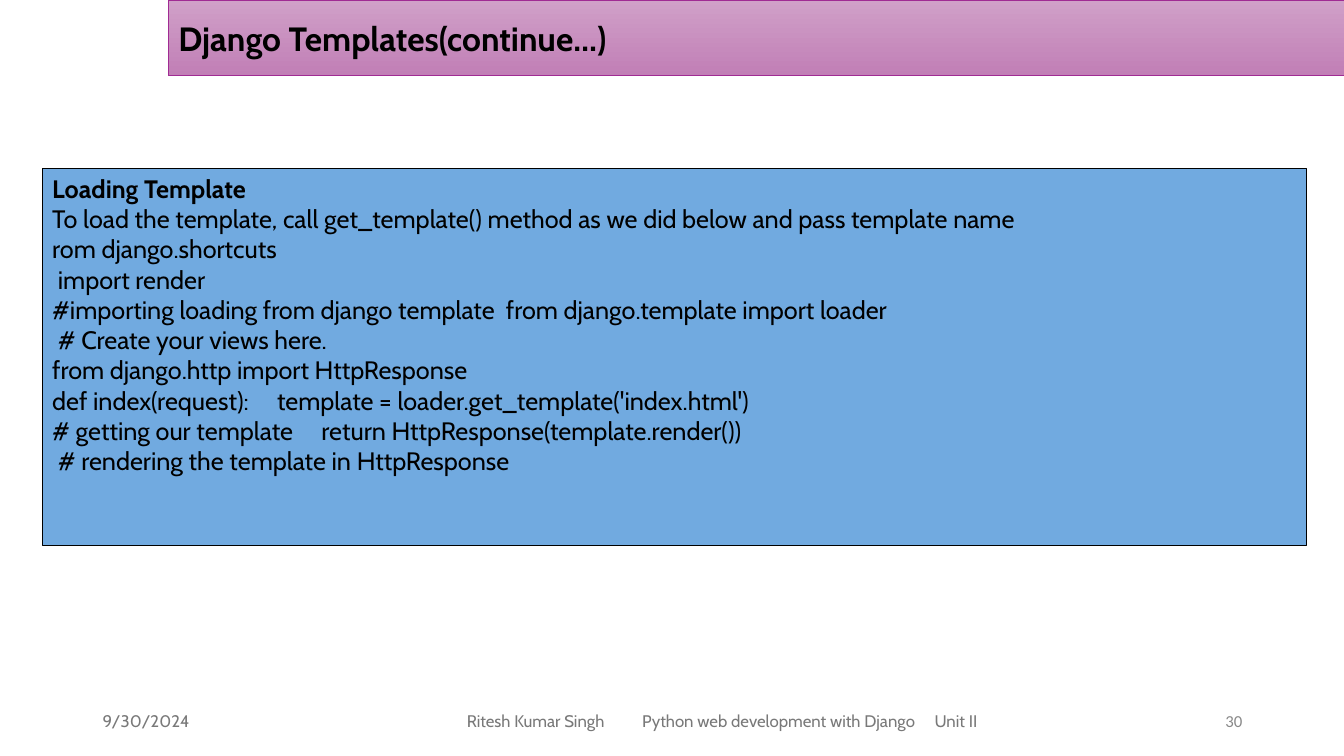
from dataclasses import dataclass

from lxml.etree import SubElement
from pptx import Presentation
from pptx.dml.color import RGBColor
from pptx.enum.shapes import MSO_SHAPE
from pptx.enum.text import MSO_ANCHOR, PP_ALIGN
from pptx.oxml.ns import qn
from pptx.util import Inches, Pt


@dataclass(frozen=True)
class Theme:
    font: str = "Cabin"
    number_font: str = "Calibri"
    ink: str = "000000"
    footer: str = "797979"
    number: str = "898989"
    banner_top: str = "D0A0C8"
    banner_bottom: str = "C17FB6"
    banner_line: str = "A02B93"
    panel: str = "71AAE0"
    title_size: int = 24
    body_size: int = 18
    footer_size: int = 12


class SlideBuilder:
    def __init__(self, s, theme):
        self.s = s
        self.theme = theme

    def set_lines(self, shape, lines, size, color, font=None, bold_first=False,
                  align=PP_ALIGN.LEFT, anchor=MSO_ANCHOR.MIDDLE, inset=0.1):
        tf = shape.text_frame
        frame_format = {"word_wrap": True, "vertical_anchor": anchor,
                        "margin_left": Inches(inset)}
        for name, value in frame_format.items():
            setattr(tf, name, value)
        for i, (text, tabs) in enumerate(lines):
            p = tf.add_paragraph() if i else tf.paragraphs[0]
            p.alignment = align
            if tabs:
                tab_list = SubElement(p._p.get_or_add_pPr(), qn("a:tabLst"))
                for pos in tabs:
                    SubElement(tab_list, qn("a:tab"), pos=str(Inches(pos)), algn="l")
            r = p.add_run()
            r.text = text
            run_format = {"name": font or self.theme.font, "size": Pt(size),
                          "bold": bold_first and i == 0}
            for name, value in run_format.items():
                setattr(r.font, name, value)
            r.font.color.rgb = RGBColor.from_string(color)

    def text(self, box, lines, color, **style):
        tb = self.s.shapes.add_textbox(*map(Inches, box))
        self.set_lines(tb, lines, self.theme.footer_size, color, **style)

    def panel(self, box, fills, line, width, lines, size, **style):
        sp = self.s.shapes.add_shape(MSO_SHAPE.RECTANGLE, *map(Inches, box))
        sp.shadow.inherit = False
        if len(fills) == 1:
            sp.fill.solid()
            sp.fill.fore_color.rgb = RGBColor.from_string(fills[0])
        else:
            sp.fill.gradient()
            sp.fill.gradient_angle = 270
            for stop, color in zip(sp.fill.gradient_stops, fills):
                stop.color.rgb = RGBColor.from_string(color)
        sp.line.color.rgb = RGBColor.from_string(line)
        sp.line.width = Pt(width)
        self.set_lines(sp, lines, size, self.theme.ink, bold_first=True, **style)


LOADING_LINES = [
    ("Loading Template", ()),
    ("To load the template, call get_template() method as we did below and pass template name", ()),
    ("rom django.shortcuts", ()),
    (" import render", ()),
    ("#importing loading from django template\tfrom django.template import loader", (4.5,)),
    (" # Create your views here.", ()),
    ("from django.http import HttpResponse", ()),
    ("def index(request):\ttemplate = loader.get_template('index.html')", (2.23,)),
    ("# getting our template\treturn HttpResponse(template.render())", (2.67,)),
    (" # rendering the template in HttpResponse", ()),
]
FOOTER = "Ritesh Kumar Singh\tPython web development with Django\tUnit II"


def main():
    prs = Presentation()
    prs.slide_width, prs.slide_height = Inches(13.33), Inches(7.5)
    theme = Theme()
    b = SlideBuilder(prs.slides.add_slide(prs.slide_layouts[6]), theme)

    b.text((0.92, 6.95, 3, 0.4), [("9/30/2024", ())], theme.footer)
    b.text((4.42, 6.95, 5.5, 0.4), [(FOOTER, (1.74, 4.64))], theme.footer, inset=0.21)
    b.text((9.42, 6.95, 3, 0.4), [("30", ())], theme.number,
           font=theme.number_font, align=PP_ALIGN.RIGHT)
    b.panel((1.67, 0, 11.67, 0.75), (theme.banner_top, theme.banner_bottom),
            theme.banner_line, 1, [("Django Templates(continue…)", ())], theme.title_size)
    b.panel((0.42, 1.67, 12.54, 3.74), (theme.panel,), theme.ink, 0.75,
            LOADING_LINES, theme.body_size, anchor=MSO_ANCHOR.TOP)

    prs.save("out.pptx")


if __name__ == "__main__":
    main()
